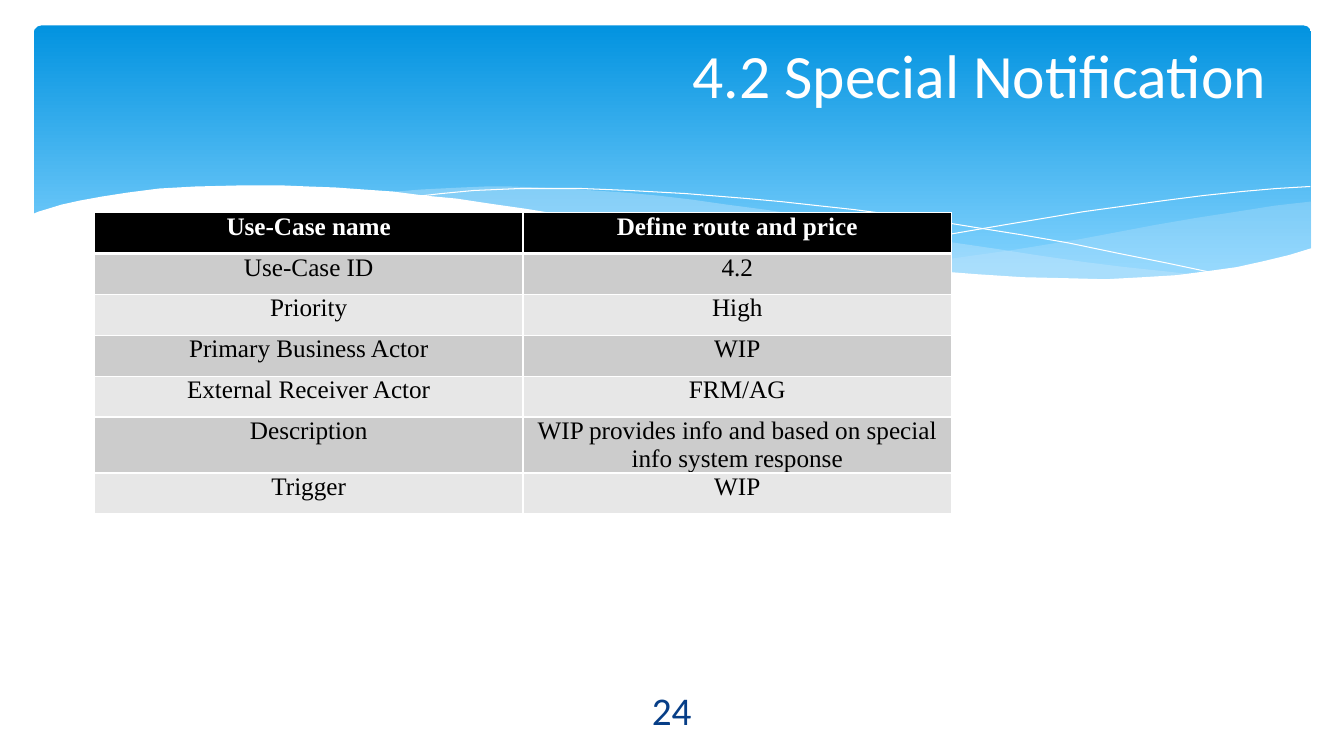
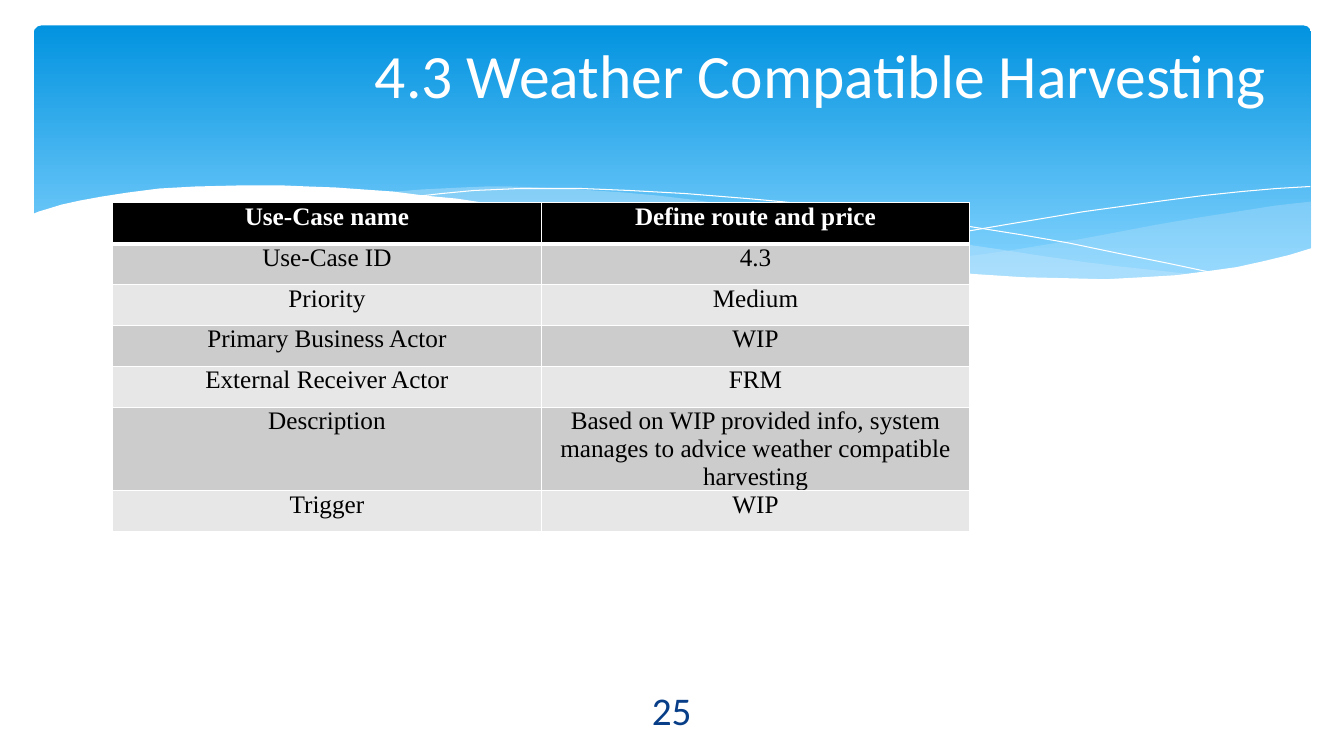
from lxml.etree import SubElement as Sub
from pptx import Presentation
from pptx.dml.color import RGBColor as RGB
from pptx.enum.shapes import MSO_SHAPE as Kind
from pptx.enum.text import MSO_ANCHOR as Anchor, MSO_AUTO_SIZE as Auto, PP_ALIGN as Align
from pptx.oxml.ns import qn
from pptx.util import Cm, Pt

HUES = {
    "white": "FFFFFF", "black": "000000", "navy": "073E87",
    "top": "0293E0", "low": "83D3FE", "mist": "C6E7FC",
    "dark": "CCCCCC", "pale": "E7E7E7",
}
SANS, SERIF = "Calibri", "Times New Roman"
UNIT = Cm(0.0254)  # one step of the wave outlines

# Wave outlines, in steps from the slide corner
RIGHT = [
    (1300, 200), (1265, 204), (1227, 210), (1188, 216), (1147, 223), (1073, 237),
    (1005, 248), (941, 257), (882, 265), (921, 269), (958, 272), (993, 275),
    (1025, 277), (1071, 278), (1113, 277), (1151, 275), (1186, 272), (1218, 267),
    (1247, 262), (1266, 257), (1284, 252), (1301, 247), (1301, 200)]
MIDDLE = [
    (1190, 273), (1154, 269), (1116, 265), (1076, 260), (1034, 254), (989, 247),
    (941, 240), (891, 231), (839, 222), (798, 214), (759, 208), (721, 203),
    (686, 198), (652, 194), (619, 191), (589, 189), (560, 187), (532, 186),
    (506, 185), (482, 185), (459, 186), (418, 188), (382, 191), (431, 196),
    (483, 203), (539, 211), (599, 222), (654, 232), (706, 240), (755, 248),
    (802, 255), (846, 261), (887, 266), (926, 270), (963, 274), (998, 276),
    (1030, 277), (1076, 278), (1118, 278), (1156, 276), (1190, 273)]
FALL = [
    (412, 195), (438, 192), (470, 189), (516, 187), (577, 187), (625, 189),
    (680, 192), (742, 197), (775, 200), (811, 204), (848, 208), (886, 213),
    (927, 219), (970, 226), (1014, 233), (1060, 241), (1108, 251), (1158, 261),
    (1210, 272)]
RISE = [
    (818, 257), (870, 246), (927, 235), (997, 223), (1075, 210), (1155, 199),
    (1194, 194), (1232, 190), (1267, 187), (1300, 185)]
PAPER = [
    (1302, 246), (1279, 253), (1254, 259), (1227, 265), (1198, 269), (1167, 273),
    (1134, 275), (1097, 277), (1058, 276), (1015, 275), (969, 272), (918, 268),
    (863, 262), (804, 254), (740, 245), (671, 233), (596, 220), (558, 213),
    (521, 207), (486, 202), (453, 197), (421, 194), (390, 190), (361, 188),
    (333, 186), (306, 185), (282, 184), (235, 184), (194, 185), (158, 187),
    (127, 191), (101, 195), (79, 199), (61, 203), (48, 207), (38, 210),
    (31, 213), (31, 329), (1303, 329), (1303, 246)]

LABELS = ["Use-Case name", "Use-Case ID", "Priority", "Primary Business Actor",
          "External Receiver Actor", "Description", "Trigger"]
HEAD = "Define route and price"


def hue(name):
    return RGB.from_string(HUES[name])


class Deck:
    def __init__(self):
        self.prs = Presentation()
        self.prs.slide_width, self.prs.slide_height = Cm(33.87), Cm(19.05)
        self.base = self.prs.slide_layouts[5]
        self.slide = None

    def page(self):
        self.slide = self.prs.slides.add_slide(self.base)

    def style(self, frame, size, font, tint, align, bold=False):
        for par in frame.paragraphs:
            par.alignment = align
            for run in par.runs:
                run.font.size, run.font.name = Pt(size), font
                run.font.bold, run.font.color.rgb = bold, hue(tint)

    def wave(self, dots, tint=None, alpha=100):
        """Filled outline, or an open white hairline without a tint."""
        pen = self.slide.shapes.build_freeform(*dots[0], scale=UNIT)
        pen.add_line_segments(dots[1:], close=bool(tint))
        shape = pen.convert_to_shape()
        shape.shadow.inherit = False
        if tint:
            shape.fill.solid()
            shape.fill.fore_color.rgb = hue(tint)
            shape.line.fill.background()
            if alpha < 100:
                clr = shape._element.spPr.find(".//" + qn("a:srgbClr"))
                Sub(clr, qn("a:alpha")).set("val", str(alpha * 1000))
        else:
            shape.fill.background()
            shape.line.color.rgb = hue("white")
            shape.line.width = Pt(0)

    def band(self):
        shape = self.slide.shapes.add_shape(
            Kind.ROUNDED_RECTANGLE, Cm(0.85), Cm(0.64), Cm(32.2), Cm(6.86))
        shape.adjustments[0] = 0.03
        shape.shadow.inherit = False
        shape.line.fill.background()
        shape.fill.gradient()
        shape.fill.gradient_angle = 270
        for stop, tint, spot in zip(shape.fill.gradient_stops, ("top", "low"), (0, 0.9)):
            stop.color.rgb, stop.position = hue(tint), spot

    def share(self):
        """Move all but the title to the layout, behind its placeholders."""
        tree = self.base.shapes._spTree
        parts = [s for s in self.slide.shapes if not s.is_placeholder]
        for num, part in enumerate(parts):
            part._element.nvSpPr.cNvPr.set("id", str(100 + num))
            tree.insert(2 + num, part._element)

    def title(self, text):
        box = self.slide.shapes.title
        box.left, box.top, box.width, box.height = Cm(1.7), Cm(0.94), Cm(30.48), Cm(3.48)
        frame = box.text_frame
        frame.text = text
        frame.word_wrap, frame.auto_size = True, Auto.NONE
        frame.vertical_anchor, frame.margin_top = Anchor.TOP, 0
        self.style(frame, 44, SANS, "white", Align.RIGHT)

    def number(self, num):
        box = self.slide.shapes.add_textbox(Cm(14.78), Cm(17.37), Cm(4.3), Cm(1.02))
        frame = box.text_frame
        frame.text = str(num)
        frame.word_wrap, frame.vertical_anchor = True, Anchor.MIDDLE
        self.style(frame, 28, SANS, "navy", Align.CENTER)

    def edge(self, cell, head):
        props = cell._tc.get_or_add_tcPr()
        for side in "LRTB":
            wide = 3 if head and side == "B" else 1
            line = Sub(props, qn("a:ln" + side), w=str(Pt(wide)))
            fill = Sub(line, qn("a:solidFill"))
            Sub(fill, qn("a:srgbClr"), val=HUES["white"])

    def table(self, left, top, rows):
        high = Cm(1.03)
        grid = self.slide.shapes.add_table(
            len(rows), 2, left, top, Cm(21.6), high * len(rows)).table
        for r, row in enumerate(rows):
            head = r == 0
            grid.rows[r].height = high
            for c, text in enumerate(row):
                cell = grid.cell(r, c)
                self.edge(cell, head)
                cell.fill.solid()
                cell.fill.fore_color.rgb = hue("black" if head else ("pale", "dark")[r % 2])
                cell.margin_left = cell.margin_right = Cm(0.19)
                cell.margin_top = cell.margin_bottom = 0
                cell.text_frame.text = text
                self.style(cell.text_frame, 18, SERIF, "white" if head else "black",
                           Align.CENTER, head)


def main():
    deck = Deck()
    cases = [
        ("4.2 Special Notification", 24, Cm(2.38), Cm(5.36),
         ["4.2", "High", "WIP", "FRM/AG",
          "WIP provides info and based on special info system response", "WIP"]),
        ("4.3 Weather Compatible Harvesting", 25, Cm(2.84), Cm(5.11),
         ["4.3", "Medium", "WIP", "FRM",
          "Based on WIP provided info, system manages to advice weather "
          "compatible harvesting", "WIP"]),
    ]
    for spot, (title, num, left, top, facts) in enumerate(cases):
        deck.page()
        # Shared backdrop, drawn once
        if spot == 0:
            deck.band()
            deck.wave(RIGHT, "mist", 29)
            deck.wave(MIDDLE, "mist", 40)
            deck.wave(FALL)
            deck.wave(RISE)
            deck.wave(PAPER, "white")
            deck.share()
        # Content
        deck.title(title)
        deck.table(left, top, list(zip(LABELS, [HEAD] + facts)))
        deck.number(num)
    deck.prs.save("out.pptx")


if __name__ == "__main__":
    main()
